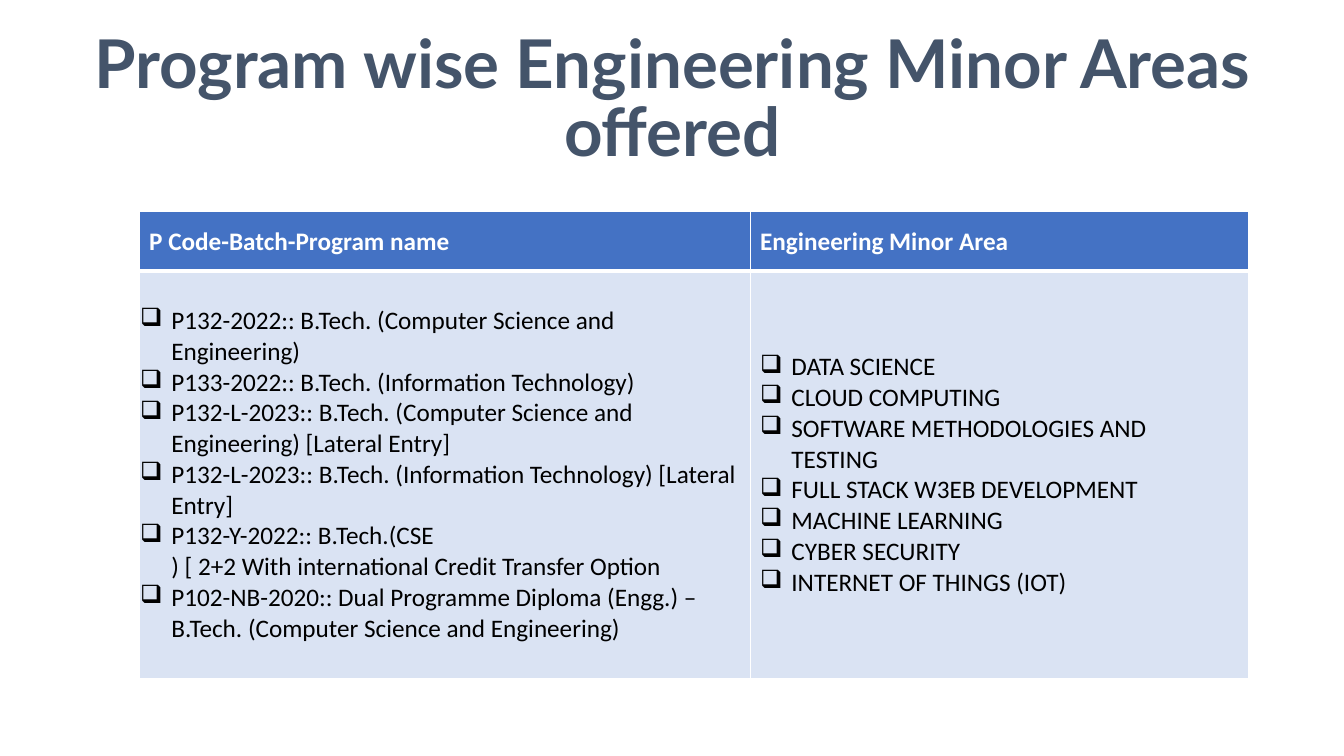
import pptx
import pptx.util
import pptx.dml.color
import pptx.enum.text
import pptx.oxml.ns
from dataclasses import dataclass
from lxml import etree

Inches, Pt = pptx.util.Inches, pptx.util.Pt
ALIGN, ANCHOR = pptx.enum.text.PP_ALIGN, pptx.enum.text.MSO_ANCHOR


@dataclass(frozen=True)
class Theme:
    title_font: str = "Lato"
    body_font: str = "Calibri"
    title_size: int = 48
    body_size: int = 18
    title_color: str = "44546A"
    header_fill: str = "4472C4"
    body_fill: str = "DAE3F3"
    light: str = "FFFFFF"
    dark: str = "000000"
    thin: float = 0.96
    thick: float = 3
    bullet_indent: float = 0.31


def rgb(color):
    return pptx.dml.color.RGBColor.from_string(color)


def add_child(parent, tag, **attributes):
    return etree.SubElement(parent, pptx.oxml.ns.qn(tag), **attributes)


def write(paragraph, text, *, font, size, color, bold=False, align=ALIGN.LEFT,
          spacing=None, bullet=None, indent=0):
    """Fill a paragraph; a newline in the text becomes a line break."""
    paragraph.alignment = align
    if spacing:
        paragraph.line_spacing = spacing
    if bullet:
        properties = paragraph._p.get_or_add_pPr()
        properties.set("marL", str(Inches(indent)))
        properties.set("indent", str(-Inches(indent)))
        add_child(properties, "a:buChar", char=bullet)
    for index, line in enumerate(text.split("\n")):
        if index:
            paragraph.add_line_break()
        run = paragraph.add_run()
        run.text = line
        run.font.name = font
        run.font.size = Pt(size)
        run.font.bold = bold
        run.font.color.rgb = rgb(color)


class SlideBuilder:
    def __init__(self, slide, theme):
        self.slide, self.theme = slide, theme

    def title(self, text, left, top, width, height):
        heading = self.slide.shapes.title
        heading.left, heading.top = Inches(left), Inches(top)
        heading.width, heading.height = Inches(width), Inches(height)
        frame = heading.text_frame
        frame.word_wrap = True
        frame.auto_size = pptx.enum.text.MSO_AUTO_SIZE.NONE
        frame.vertical_anchor = ANCHOR.BOTTOM
        write(frame.paragraphs[0], text, font=self.theme.title_font,
              size=self.theme.title_size, color=self.theme.title_color,
              bold=True, align=ALIGN.CENTER, spacing=0.85)

    def cell(self, cell, lines, fill, borders, side_margin=0.1, **style):
        cell.vertical_anchor = ANCHOR.MIDDLE
        cell.margin_left = cell.margin_right = Inches(side_margin)
        cell.margin_top = cell.margin_bottom = Inches(0.05)
        # Borders come before the fill in the cell properties
        for side, width in borders.items():
            border = add_child(cell._tc.get_or_add_tcPr(), f"a:ln{side}",
                               w=str(Pt(width)))
            add_child(add_child(border, "a:solidFill"), "a:srgbClr",
                      val=self.theme.light)
        cell.fill.solid()
        cell.fill.fore_color.rgb = rgb(fill)
        frame = cell.text_frame
        for index, line in enumerate(lines):
            paragraph = frame.add_paragraph() if index else frame.paragraphs[0]
            write(paragraph, line, font=self.theme.body_font,
                  size=self.theme.body_size, **style)

    def table(self, columns, left, top, widths, heights, body_margins):
        theme = self.theme
        table = self.slide.shapes.add_table(
            len(heights), len(widths), Inches(left), Inches(top),
            Inches(sum(widths)), Inches(sum(heights))).table
        for row, height in zip(table.rows, heights):
            row.height = Inches(height)
        thin = dict.fromkeys("LRTB", theme.thin)
        for index, (heading, entries) in enumerate(columns):
            table.columns[index].width = Inches(widths[index])
            self.cell(table.cell(0, index), [heading], theme.header_fill,
                      thin | {"B": theme.thick}, color=theme.light, bold=True)
            self.cell(table.cell(1, index), entries, theme.body_fill,
                      thin | {"T": theme.thick}, body_margins[index],
                      color=theme.dark, bullet="❑", indent=theme.bullet_indent)


PROGRAMS = [
    "P132-2022:: B.Tech. (Computer Science and Engineering)",
    "P133-2022:: B.Tech. (Information Technology)",
    "P132-L-2023:: B.Tech. (Computer Science and Engineering) [Lateral Entry]",
    "P132-L-2023:: B.Tech. (Information Technology) [Lateral Entry]",
    "P132-Y-2022:: B.Tech.(CSE\n) [ 2+2 With international Credit Transfer Option",
    "P102-NB-2020:: Dual Programme Diploma (Engg.) – B.Tech. (Computer Science and Engineering)",
]
MINOR_AREAS = [
    "DATA SCIENCE",
    "CLOUD COMPUTING",
    "SOFTWARE METHODOLOGIES AND TESTING",
    "FULL STACK W3EB DEVELOPMENT",
    "MACHINE LEARNING",
    "CYBER SECURITY",
    "INTERNET OF THINGS (IOT)",
]


def main():
    presentation = pptx.Presentation()
    presentation.slide_width = Inches(13.33)
    presentation.slide_height = Inches(7.5)
    title_only = presentation.slide_layouts[5]
    builder = SlideBuilder(presentation.slides.add_slide(title_only), Theme())

    # Heading
    builder.title("Program wise Engineering Minor Areas offered",
                  0.37, 0.78, 12.6, 0.96)

    # Programs and the minor areas they offer
    builder.table([("P Code-Batch-Program name", PROGRAMS),
                   ("Engineering Minor Area", MINOR_AREAS)],
                  left=1.38, top=2.1, widths=[6.06, 4.94],
                  heights=[0.59, 4.04], body_margins=[0.01, 0.1])

    presentation.save("out.pptx")


if __name__ == "__main__":
    main()
